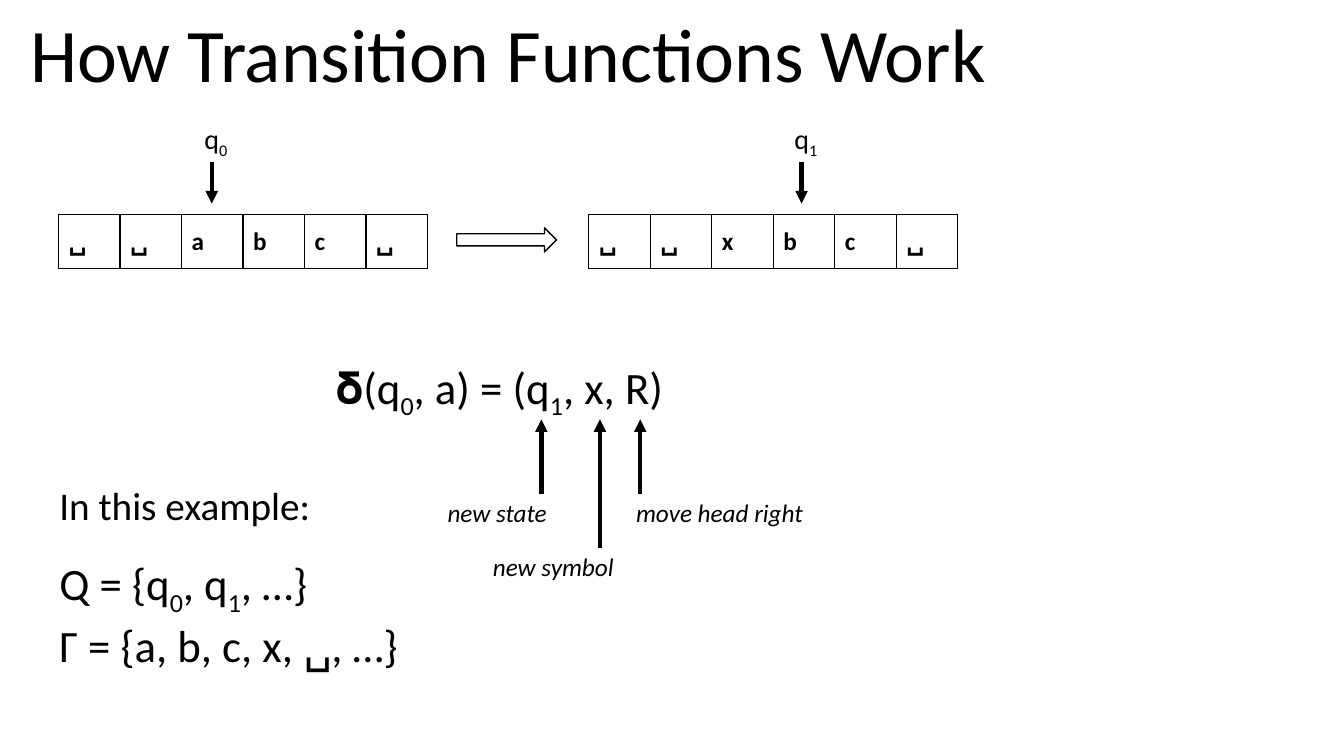
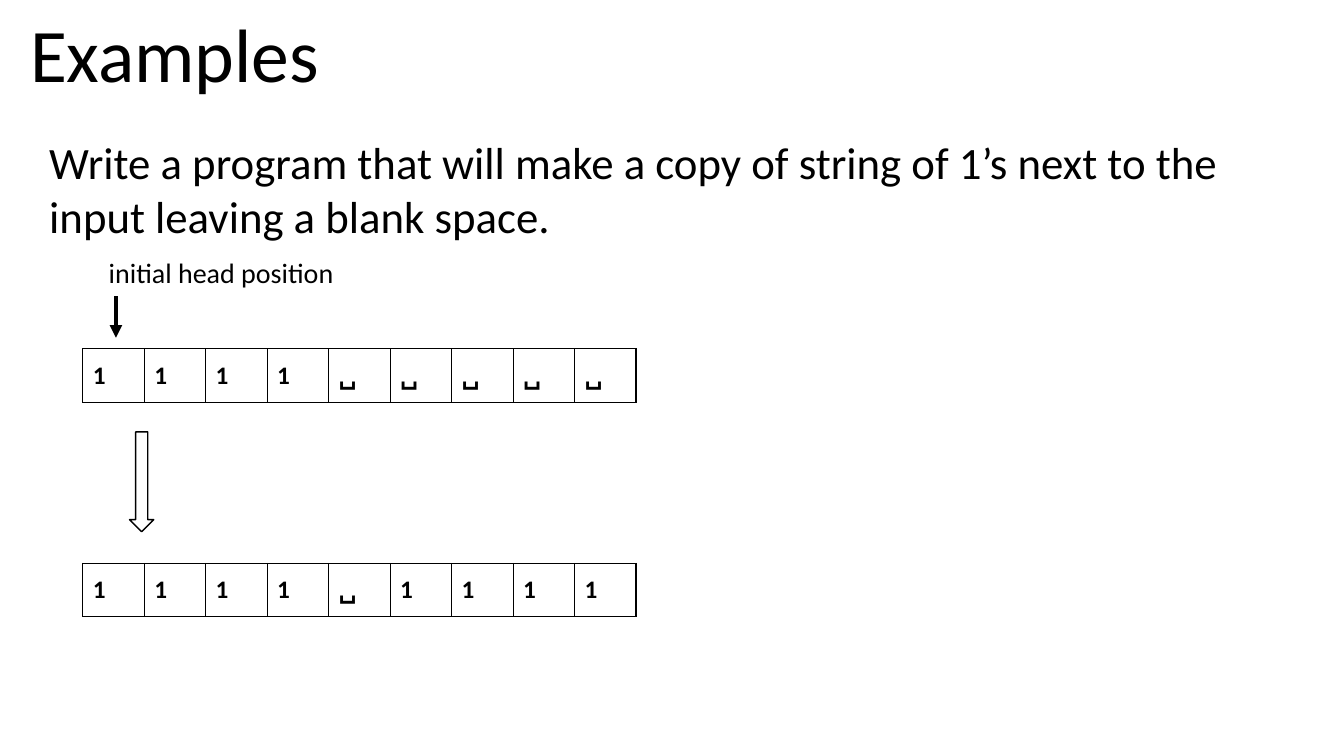
from lxml import etree
from pptx import Presentation
from pptx.dml.color import RGBColor
from pptx.enum.shapes import MSO_CONNECTOR as CONN, MSO_SHAPE as SHAPE
from pptx.enum.text import MSO_ANCHOR as ANCHOR
from pptx.oxml import parse_xml
from pptx.oxml.ns import nsdecls, qn
from pptx.util import Inches, Pt

# Shared style
FONT = "Calibri"
INK = "000000"
CELL_W, CELL_H = 0.61, 0.53


def color(hex_text):
    return RGBColor.from_string(hex_text)


def style_run(r, size, bold=False, italic=False):
    r.font.name = FONT
    r.font.size = Pt(size)
    r.font.bold = bold
    r.font.italic = italic
    r.font.color.rgb = color(INK)


def fill_paragraph(p, text, size, italic=False):
    """Write text; the character after each underscore is a subscript."""
    first, *rest = text.split("_")
    p.text = first
    for part in rest:
        sub = p.add_run()
        sub.text = part[0]
        sub._r.get_or_add_rPr().set("baseline", "-25000")
        p.add_run().text = part[1:]
    for r in p.runs:
        style_run(r, size, italic=italic)


def add_text(slide, x, y, w, h, lines, italic=False):
    """Lines are (text, size) pairs, one paragraph each."""
    tf = slide.shapes.add_textbox(Inches(x), Inches(y), Inches(w), Inches(h)).text_frame
    tf.word_wrap = True
    for i, (text, size) in enumerate(lines):
        p = tf.add_paragraph() if i else tf.paragraphs[0]
        fill_paragraph(p, text, size, italic)
    return tf


def add_title(slide, text):
    tf = add_text(slide, 0.2, 0.15, 11.5, 0.85, [(text, 54)])
    tf.vertical_anchor = ANCHOR.MIDDLE
    tf.paragraphs[0].line_spacing = 0.9


def add_arrow(slide, x, y_from, y_to):
    line = slide.shapes.add_connector(
        CONN.STRAIGHT, Inches(x), Inches(y_from), Inches(x), Inches(y_to))
    line.line.color.rgb = color(INK)
    line.line.width = Pt(3)
    etree.SubElement(line.line._get_or_add_ln(), qn("a:tailEnd"), type="triangle")
    etree.SubElement(line._element.spPr, qn("a:effectLst"))


def add_head(slide, x, tape_y, label, label_w):
    """Labelled pointer to a cell of the tape below it."""
    add_text(slide, x - 0.17, tape_y - 0.97, label_w, 0.44, [(label, 20)])
    add_arrow(slide, x, tape_y - 0.52, tape_y - 0.11)


def add_block_arrow(slide, x, y, rotation=0):
    sp = slide.shapes.add_shape(
        SHAPE.RIGHT_ARROW, Inches(x), Inches(y), Inches(0.99), Inches(0.24))
    sp.rotation = rotation
    sp.shadow.inherit = False
    sp.fill.background()
    sp.line.color.rgb = color(INK)
    sp.line.width = Pt(1)


def add_borders(cell):
    tc_pr = cell._tc.get_or_add_tcPr()
    for i, side in enumerate(("lnL", "lnR", "lnT", "lnB")):
        tc_pr.insert(i, parse_xml(
            f'<a:{side} {nsdecls("a")} w="{Pt(1)}"><a:solidFill>'
            f'<a:srgbClr val="{INK}"/></a:solidFill></a:{side}>'))


def add_tape(slide, x, y, symbols):
    table = slide.shapes.add_table(
        1, len(symbols), Inches(x), Inches(y),
        Inches(CELL_W * len(symbols)), Inches(CELL_H)).table
    table.first_row = table.horz_banding = False
    for cell, symbol in zip(table.iter_cells(), symbols):
        cell.text_frame.text = symbol
        style_run(cell.text_frame.paragraphs[0].runs[0], 18, bold=True)
        cell.vertical_anchor = ANCHOR.MIDDLE
        cell.fill.background()
        add_borders(cell)


def build_transition(slide):
    add_title(slide, "How Transition Functions Work")

    # Tape before and after the step
    tape_y = 2.13
    add_tape(slide, 0.58, tape_y, "␣␣abc␣")
    add_tape(slide, 5.84, tape_y, "␣␣xbc␣")
    add_head(slide, 2.1, tape_y, "q_0", 0.54)
    add_head(slide, 7.95, tape_y, "q_1", 0.54)
    add_block_arrow(slide, 4.53, 2.26)

    # Function and its sets
    add_text(slide, 3.23, 3.52, 4.57, 0.64, [("𝛅(q_0, a) = (q_1, x, R)", 32)])
    sets = add_text(slide, 0.49, 4.73, 7.31, 1.95, [
        ("In this example:", 28),
        ("Q = {q_0, q_1, …}", 32),
        ("Γ = {a, b, c, x, ␣, …}", 32),
    ])
    sets.paragraphs[1].space_before = Pt(19.5)

    # Notes on the result: text, left, top, width, arrow x, arrow start
    for text, x, y, w, arrow_x, arrow_y in (
        ("new state", 4.34, 4.88, 1.38, 5.37, 4.9),
        ("new symbol", 4.79, 5.42, 1.51, 5.95, 5.44),
        ("move head right", 6.21, 4.88, 1.98, 6.35, 4.9),
    ):
        add_text(slide, x, y, w, 0.4, [(text, 18)], italic=True)
        add_arrow(slide, arrow_x, arrow_y, 4.16)


def build_examples(slide):
    add_title(slide, "Examples")
    add_text(slide, 0.39, 1.29, 11.96, 1.17, [
        ("Write a program that will make a copy of string of 1’s next to the "
         "input leaving a blank space.", 32)])

    # Input tape above, result below
    tape_x, tape_y = 0.82, 3.46
    add_head(slide, 1.15, tape_y, "initial head position", 2.79)
    add_tape(slide, tape_x, tape_y, "1111␣␣␣␣␣")
    add_block_arrow(slide, 0.91, 4.66, rotation=90)
    add_tape(slide, tape_x, 5.59, "1111␣1111")


def main():
    prs = Presentation()
    prs.slide_width, prs.slide_height = Inches(13.33), Inches(7.5)
    for build in (build_transition, build_examples):
        build(prs.slides.add_slide(prs.slide_layouts[6]))
    prs.save("out.pptx")


if __name__ == "__main__":
    main()
